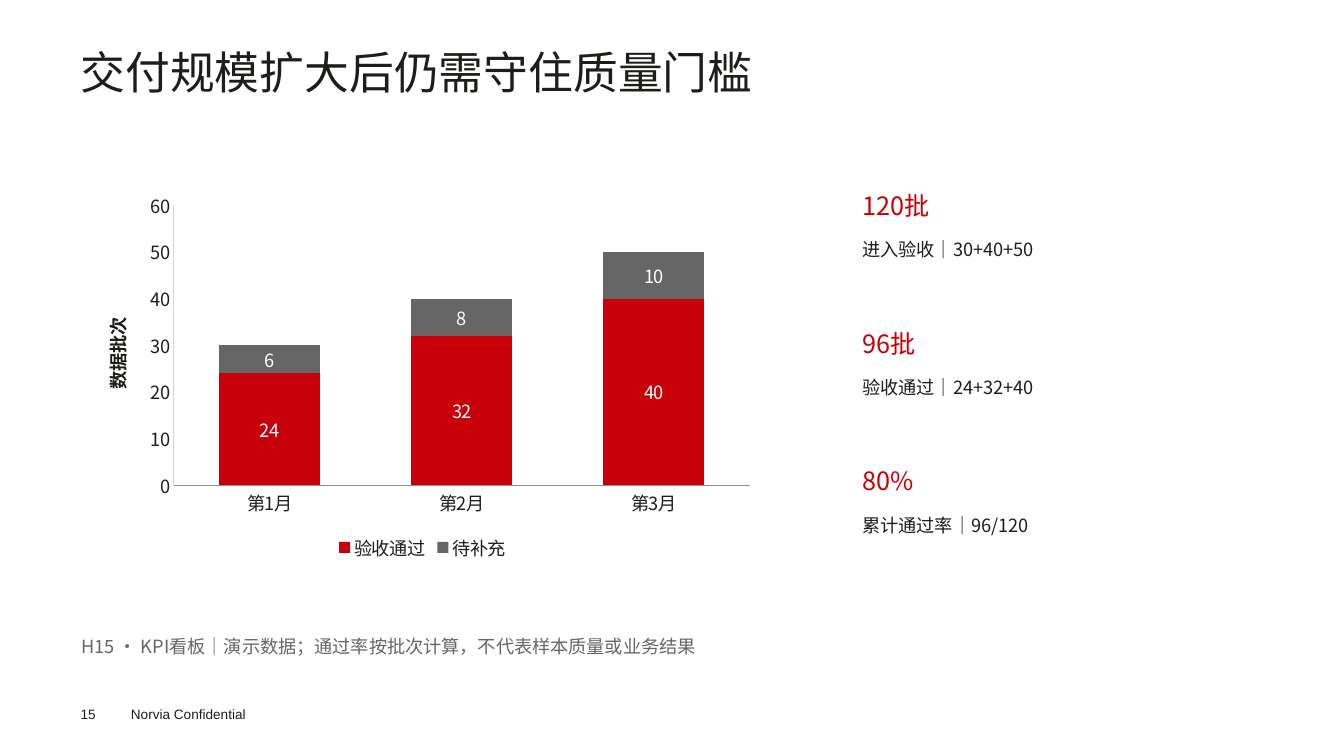
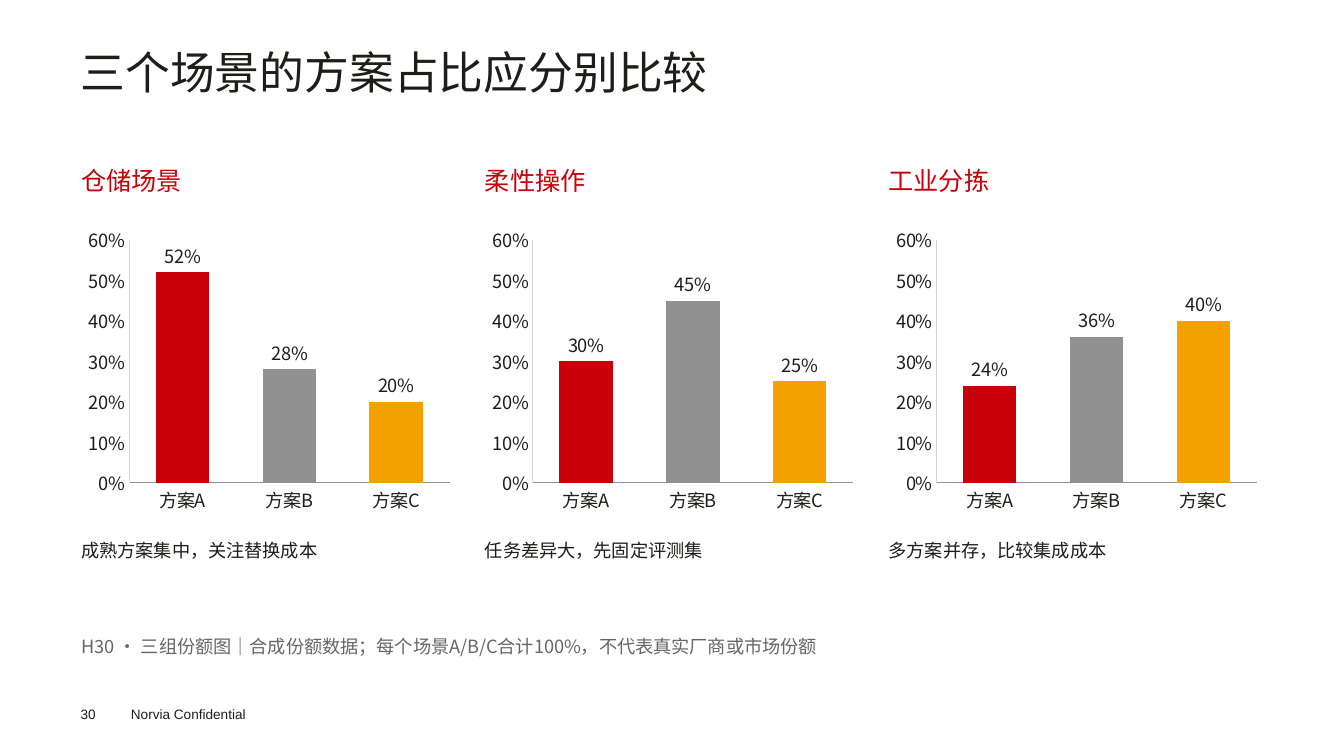
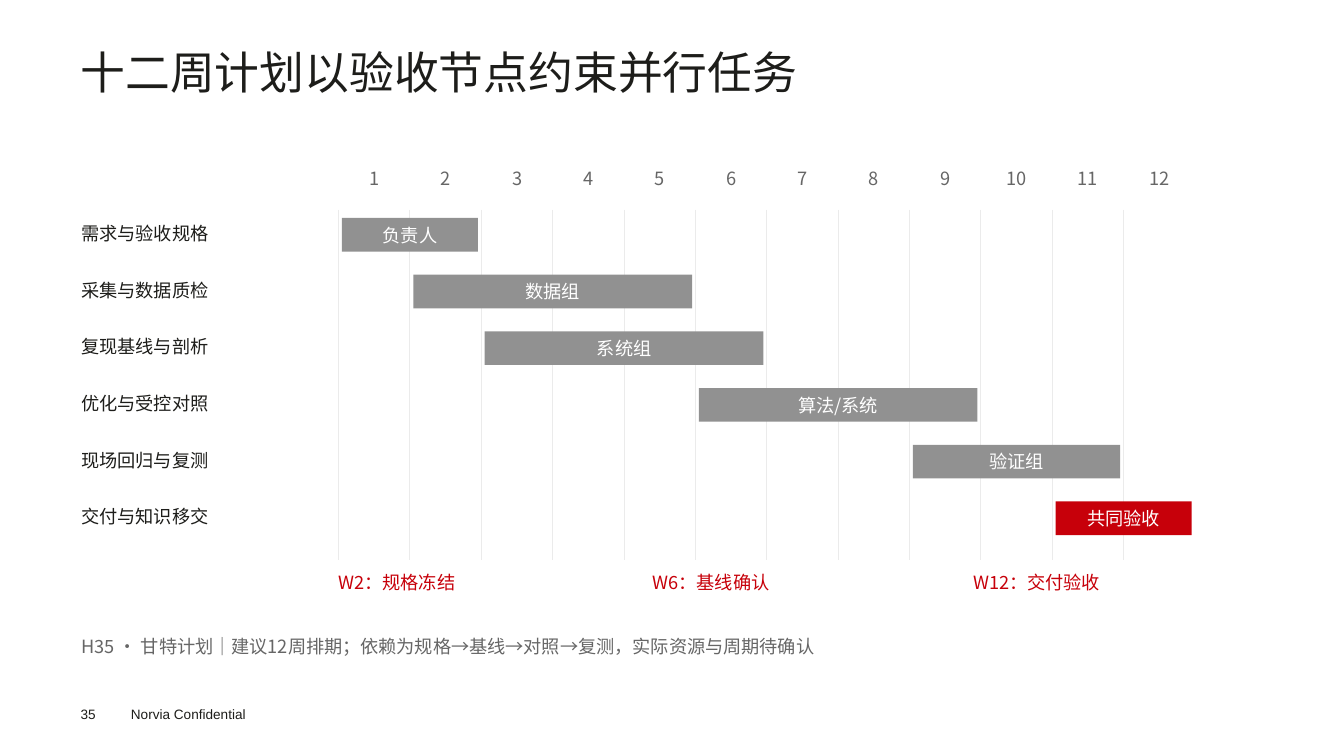
"""Build three planning slides: a KPI board, share charts and a Gantt plan."""
from lxml import etree
from pptx import Presentation
from pptx.chart.data import CategoryChartData
from pptx.dml.color import RGBColor
from pptx.enum.chart import XL_CHART_TYPE, XL_LABEL_POSITION, XL_LEGEND_POSITION, XL_TICK_MARK
from pptx.enum.shapes import MSO_CONNECTOR, MSO_SHAPE
from pptx.enum.text import MSO_ANCHOR, PP_ALIGN
from pptx.oxml.ns import qn
from pptx.util import Pt

STACKED = XL_CHART_TYPE.COLUMN_STACKED
CLUSTERED = XL_CHART_TYPE.COLUMN_CLUSTERED
LABEL_CENTER = XL_LABEL_POSITION.CENTER
LABEL_ABOVE = XL_LABEL_POSITION.OUTSIDE_END
LEGEND_BOTTOM = XL_LEGEND_POSITION.BOTTOM
NO_TICK = XL_TICK_MARK.NONE
STRAIGHT = MSO_CONNECTOR.STRAIGHT
RECTANGLE = MSO_SHAPE.RECTANGLE
TOP, MIDDLE = MSO_ANCHOR.TOP, MSO_ANCHOR.MIDDLE
LEFT_ALIGN, CENTER = PP_ALIGN.LEFT, PP_ALIGN.CENTER

COLORS = {
    "ink": "1D1D1A", "red": "C7000A", "dark": "666666", "gray": "919191",
    "amber": "F4A100", "axis": "D4D4D4", "grid": "EBEBEB", "white": "FFFFFF",
}
FONT, FOOTER_FONT = "Noto Sans CJK SC", "Arial"
TITLE_SIZE, HEADING_SIZE, BODY_SIZE, FOOTER_SIZE = 32, 18, 13, 9.7
MARGIN, CONTENT_WIDTH = 58.2, 845.3
FOOTER = "Norvia Confidential"
PERCENT = '0"%"'

KPI_SLIDE = {
    "number": "15",
    "title": "交付规模扩大后仍需守住质量门槛",
    "note": "H15 · KPI看板｜演示数据；通过率按批次计算，不代表样本质量或业务结果",
}
MONTHS = ["第1月", "第2月", "第3月"]
BATCHES = [("验收通过", [24, 32, 40], "red"), ("待补充", [6, 8, 10], "dark")]
KPIS = [
    ("120批", "进入验收｜30+40+50"),
    ("96批", "验收通过｜24+32+40"),
    ("80%", "累计通过率｜96/120"),
]

SHARE_SLIDE = {
    "number": "30",
    "title": "三个场景的方案占比应分别比较",
    "note": "H30 · 三组份额图｜合成份额数据；每个场景A/B/C合计100%，不代表真实厂商或市场份额",
}
OPTIONS = ["方案A", "方案B", "方案C"]
OPTION_COLORS = ["red", "gray", "amber"]
SCENES = [
    ("仓储场景", [52, 28, 20], "成熟方案集中，关注替换成本"),
    ("柔性操作", [30, 45, 25], "任务差异大，先固定评测集"),
    ("工业分拣", [24, 36, 40], "多方案并存，比较集成成本"),
]

PLAN_SLIDE = {
    "number": "35",
    "title": "十二周计划以验收节点约束并行任务",
    "note": "H35 · 甘特计划｜建议12周排期；依赖为规格→基线→对照→复测，实际资源与周期待确认",
}
WEEKS = 12
TASKS = [
    ("需求与验收规格", "负责人", 1, 2, "gray"),
    ("采集与数据质检", "数据组", 2, 5, "gray"),
    ("复现基线与剖析", "系统组", 3, 6, "gray"),
    ("优化与受控对照", "算法/系统", 6, 9, "gray"),
    ("现场回归与复测", "验证组", 9, 11, "gray"),
    ("交付与知识移交", "共同验收", 11, 12, "red"),
]
MILESTONES = [("W2：规格冻结", 242), ("W6：基线确认", 466.5), ("W12：交付验收", 695.5)]


def rgb(color):
    return RGBColor.from_string(COLORS[color])


def style_font(font, size=BODY_SIZE, color="ink", name=FONT):
    font.size = Pt(size)
    font.color.rgb = rgb(color)
    font.name = name
    etree.SubElement(font._element, qn("a:ea")).set("typeface", name)


def write(shape, text, size=BODY_SIZE, color="ink", align=LEFT_ALIGN, name=FONT, anchor=TOP):
    frame = shape.text_frame
    frame.word_wrap = True
    frame.margin_left = frame.margin_right = frame.margin_top = frame.margin_bottom = 0
    frame.vertical_anchor = anchor
    paragraph = frame.paragraphs[0]
    paragraph.alignment = align
    run = paragraph.add_run()
    run.text = text
    style_font(run.font, size, color, name)
    return paragraph


def add_text(slide, text, left, top, width, height, **style):
    box = slide.shapes.add_textbox(Pt(left), Pt(top), Pt(width), Pt(height))
    return write(box, text, **style)


def add_slide(presentation, content):
    slide = presentation.slides.add_slide(presentation.slide_layouts[6])
    for text, left, width in ((FOOTER, 93.6, 108), (content["number"], 57.6, 30)):
        add_text(slide, text, left, 504, width, 12, size=FOOTER_SIZE, name=FOOTER_FONT)
    title = add_text(slide, content["title"], 57.6, 36, 846, 78.5, size=TITLE_SIZE)
    title.line_spacing = Pt(34.3)
    add_text(slide, content["note"], MARGIN, 453.6, CONTENT_WIDTH, 32, color="dark")
    return slide


def add_column_chart(slide, kind, area, categories, series, gap, number_format="General"):
    data = CategoryChartData()
    data.categories = categories
    for name, values, _ in series:
        data.add_series(name, values)
    chart = slide.shapes.add_chart(kind, *(Pt(length) for length in area), data).chart
    style_font(chart.font)
    chart.has_title = False
    chart.has_legend = False
    plot = chart.plots[0]
    plot.gap_width = gap
    plot.vary_by_categories = False
    for bars, (_, _, color) in zip(plot.series, series):
        bars.format.fill.solid()
        bars.format.fill.fore_color.rgb = rgb(color)
    value_axis, category_axis = chart.value_axis, chart.category_axis
    for axis, color, width in ((value_axis, "axis", 0.75), (category_axis, "gray", 0.6)):
        axis.has_major_gridlines = False
        axis.major_tick_mark = axis.minor_tick_mark = NO_TICK
        axis.format.line.color.rgb = rgb(color)
        axis.format.line.width = Pt(width)
        style_font(axis.tick_labels.font)
    value_axis.minimum_scale, value_axis.maximum_scale, value_axis.major_unit = 0, 60, 10
    value_axis.tick_labels.number_format = number_format
    value_axis.tick_labels.number_format_is_linked = False
    return chart


def label_series(bars, position, color, number_format="General"):
    labels = bars.data_labels
    labels.show_value = True
    labels.position = position
    labels.number_format = number_format
    labels.number_format_is_linked = False
    style_font(labels.font, color=color)


def build_kpi_slide(presentation):
    slide = add_slide(presentation, KPI_SLIDE)
    area = (MARGIN, 131.8, 487.5, 271.5)
    chart = add_column_chart(slide, STACKED, area, MONTHS, BATCHES, 90)
    chart.plots[0].overlap = 100
    for bars in chart.plots[0].series:
        label_series(bars, LABEL_CENTER, "white")
    chart.has_legend = True
    chart.legend.position = LEGEND_BOTTOM
    chart.legend.include_in_layout = False
    style_font(chart.legend.font)
    frame = chart.value_axis.axis_title.text_frame
    frame._txBody.bodyPr.set("rot", "-5400000")
    frame._txBody.bodyPr.set("vert", "horz")
    run = frame.paragraphs[0].add_run()
    run.text = "数据批次"
    run.font.bold = True
    style_font(run.font)
    for index, (value, label) in enumerate(KPIS):
        top = 136 + index * 98.3
        add_text(slide, value, 616.3, top, 225, 27, size=HEADING_SIZE, color="red")
        add_text(slide, label, 616.3, top + 34.5, 270, 36)


def build_share_slide(presentation):
    slide = add_slide(presentation, SHARE_SLIDE)
    gap = 20
    width = (CONTENT_WIDTH - gap * (len(SCENES) - 1)) / len(SCENES)
    for index, (scene, shares, remark) in enumerate(SCENES):
        left = MARGIN + index * (width + gap)
        add_text(slide, scene, left, 118, width, 27, size=HEADING_SIZE, color="red")
        series = [("Series 1", shares, "red")]
        area = (left, 157.7, width, 213)
        chart = add_column_chart(slide, CLUSTERED, area, OPTIONS, series, 100, PERCENT)
        bars = chart.plots[0].series[0]
        for point_index, color in enumerate(OPTION_COLORS):
            fill = bars.points[point_index].format.fill
            fill.solid()
            fill.fore_color.rgb = rgb(color)
        label_series(bars, LABEL_ABOVE, "ink", PERCENT)
        add_text(slide, remark, left, 385.2, width, 50)


def build_plan_slide(presentation):
    slide = add_slide(presentation, PLAN_SLIDE)
    grid_left, week_width, row_height, inset = 242, 51, 40.5, 2.4
    for week in range(WEEKS):
        left = grid_left + week * week_width
        add_text(slide, str(week + 1), left, 119.5, week_width, 22, color="dark", align=CENTER)
        line = slide.shapes.add_connector(STRAIGHT, Pt(left), Pt(150), Pt(left), Pt(400))
        line.line.color.rgb = rgb("grid")
        line.line.width = Pt(0.75)
        etree.SubElement(line._element.spPr, qn("a:effectLst"))
    for row, (task, owner, first, last, color) in enumerate(TASKS):
        top = 155.7 + row * row_height
        add_text(slide, task, MARGIN, top + 3, 173, 22)
        left = grid_left + (first - 1) * week_width + inset
        width = (last - first + 1) * week_width - 2 * inset
        bar = slide.shapes.add_shape(RECTANGLE, Pt(left), Pt(top), Pt(width), Pt(24))
        bar.shadow.inherit = False
        bar.fill.solid()
        bar.fill.fore_color.rgb = rgb(color)
        bar.line.fill.background()
        write(bar, owner, color="white", align=CENTER, anchor=MIDDLE)
    for milestone, left in MILESTONES:
        add_text(slide, milestone, left, 408.2, 202, 24, color="red")


def main():
    presentation = Presentation()
    presentation.slide_width, presentation.slide_height = Pt(960.5), Pt(540)
    build_kpi_slide(presentation)
    build_share_slide(presentation)
    build_plan_slide(presentation)
    presentation.save("out.pptx")


if __name__ == "__main__":
    main()
